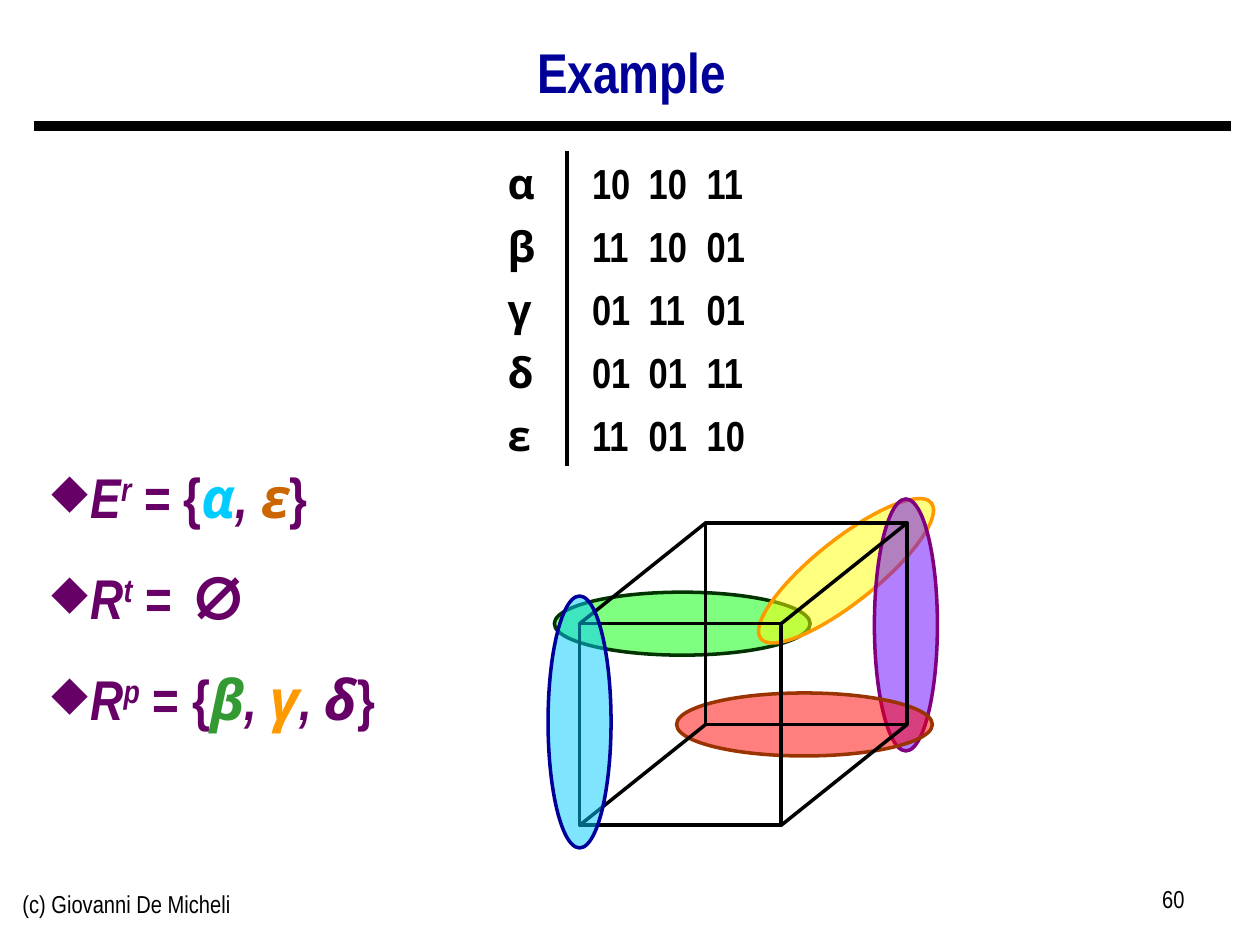
from dataclasses import dataclass

import pptx
import pptx.dml.color
import pptx.enum.shapes
import pptx.enum.text
import pptx.oxml.ns
import pptx.util
from lxml import etree

Inches = pptx.util.Inches
Pt = pptx.util.Pt
RGBColor = pptx.dml.color.RGBColor
MSO_SHAPE = pptx.enum.shapes.MSO_SHAPE
PP_ALIGN = pptx.enum.text.PP_ALIGN
qn = pptx.oxml.ns.qn

BLACK = RGBColor(0x00, 0x00, 0x00)
NAVY = RGBColor(0x00, 0x00, 0x99)
PLUM = RGBColor(0x66, 0x00, 0x66)
SKY = RGBColor(0x00, 0xCC, 0xFF)
OCHRE = RGBColor(0xCC, 0x66, 0x00)
LEAF = RGBColor(0x33, 0x99, 0x33)
ORANGE = RGBColor(0xFF, 0x99, 0x00)
LIME = RGBColor(0x00, 0xFF, 0x00)
FOREST = RGBColor(0x00, 0x33, 0x00)
YELLOW = RGBColor(0xFF, 0xFF, 0x00)
VIOLET = RGBColor(0x66, 0x00, 0xFF)
PURPLE = RGBColor(0x80, 0x00, 0x80)
RED = RGBColor(0xFF, 0x00, 0x00)
BROWN = RGBColor(0x99, 0x33, 0x00)

LATIN, GREEK, SYMBOL = "Arial Narrow", "Open Sans", "Noto Sans Mono"
FOOTER = {"name": LATIN, "size": Pt(14)}
CODE = {"name": LATIN, "size": Pt(24), "bold": True}
SET = {"name": LATIN, "size": Pt(32), "bold": True}


@dataclass
class Piece:
    text: str
    color: RGBColor = PLUM
    font: str = LATIN
    italic: bool = True
    raised: bool = False


@dataclass
class Implicant:
    left: float
    top: float
    width: float
    fill: RGBColor
    outline: RGBColor
    rotation: float = 0


def add_run(paragraph, text: str, formats: dict, color: RGBColor = BLACK):
    run = paragraph.add_run()
    run.text = text
    for name, value in formats.items():
        setattr(run.font, name, value)
    run.font.color.rgb = color
    return run


def add_text_frame(slide, left: float, top: float, width: float, height: float):
    frame = slide.shapes.add_textbox(
        Inches(left), Inches(top), Inches(width), Inches(height)).text_frame
    frame.word_wrap = True
    return frame


def add_line(slide, start: tuple, end: tuple, weight: float = 2) -> None:
    line = slide.shapes.add_connector(
        pptx.enum.shapes.MSO_CONNECTOR.STRAIGHT,
        *(Inches(value) for value in start + end))
    line.line.color.rgb = BLACK
    line.line.width = Pt(weight)
    etree.SubElement(line._element.spPr, qn("a:effectLst"))


def add_outline(slide, kind, left: float, top: float, width: float,
                height: float, color: RGBColor):
    shape = slide.shapes.add_shape(
        kind, Inches(left), Inches(top), Inches(width), Inches(height))
    shape.shadow.inherit = False
    shape.fill.background()
    shape.line.color.rgb = color
    shape.line.width = Pt(2)
    return shape


def add_implicant(slide, item: Implicant) -> None:
    ellipse = add_outline(slide, MSO_SHAPE.OVAL, item.left, item.top,
                          item.width, 0.5, item.outline)
    ellipse.rotation = item.rotation
    ellipse.fill.solid()
    ellipse.fill.fore_color.rgb = item.fill
    color = ellipse._element.spPr.find(qn("a:solidFill")).find(qn("a:srgbClr"))
    etree.SubElement(color, qn("a:alpha"), val="50000")


def add_tabs(paragraph, stops: tuple) -> None:
    tabs = etree.SubElement(paragraph._p.get_or_add_pPr(), qn("a:tabLst"))
    for stop in stops:
        etree.SubElement(tabs, qn("a:tab"), pos=str(Inches(stop)), algn="l")


def add_diamond_bullet(paragraph) -> None:
    properties = paragraph._p.get_or_add_pPr()
    properties.set("marL", str(Inches(0.31)))
    properties.set("indent", str(Inches(-0.31)))
    bullet_color = etree.SubElement(properties, qn("a:buClr"))
    etree.SubElement(bullet_color, qn("a:srgbClr"), val=str(PLUM))
    etree.SubElement(properties, qn("a:buSzPct"), val="85000")
    etree.SubElement(properties, qn("a:buChar"), char="◆")


def add_cube(slide) -> None:
    side, dx, dy = 1.6, 1, -0.8
    left, top = 4.6, 4.95
    for x, y in ((left, top), (left + dx, top + dy)):
        add_outline(slide, MSO_SHAPE.RECTANGLE, x, y, side, side, BLACK)
    for x in (left, left + side):
        for y in (top, top + side):
            add_line(slide, (x, y), (x + dx, y + dy))


CODES = [
    ("α", "10", "10", "11"),
    ("β", "11", "10", "01"),
    ("γ", "01", "11", "01"),
    ("δ", "01", "01", "11"),
    ("ε", "11", "01", "10"),
]

SETS = [
    [Piece("E"), Piece("r", raised=True), Piece(" = {", italic=False),
     Piece("α", SKY, GREEK), Piece(", "), Piece("ε", OCHRE, GREEK),
     Piece("}", italic=False)],
    [Piece("R"), Piece("t", raised=True), Piece(" = ", italic=False),
     Piece("∅", font=SYMBOL, italic=False)],
    [Piece("R"), Piece("p", raised=True), Piece(" = {", italic=False),
     Piece("β", LEAF, GREEK), Piece(", "), Piece("γ", ORANGE, GREEK),
     Piece(", "), Piece("δ", font=GREEK), Piece("}", italic=False)],
]

BEHIND_CUBE = [
    Implicant(4.4, 4.7, 2.03, LIME, FOREST),
    Implicant(5.85, 4.28, 1.73, YELLOW, ORANGE, 321.5),
    Implicant(6.19, 4.71, 2, VIOLET, PURPLE, 270),
    Implicant(5.37, 5.5, 2.03, RED, BROWN),
]
BEFORE_CUBE = Implicant(3.6, 5.48, 2, SKY, NAVY, 270)


def main() -> None:
    deck = pptx.Presentation()
    deck.slide_width, deck.slide_height = Inches(10), Inches(7.5)
    slide = deck.slides.add_slide(deck.slide_layouts[5])

    # Rule, footer and page number
    add_line(slide, (0.27, 1), (9.77, 1), 6)
    credit = add_text_frame(slide, 0.08, 7.01, 3.17, 0.4).paragraphs[0]
    add_run(credit, "(c) Giovanni De Micheli", FOOTER)
    page = add_text_frame(slide, 7.17, 6.97, 2.33, 0.4).paragraphs[0]
    page.alignment = PP_ALIGN.RIGHT
    add_run(page, "60", FOOTER)

    # Title
    title = slide.shapes.title
    title.left, title.top = Inches(0.26), Inches(0.22)
    title.width, title.height = Inches(9.51), Inches(0.75)
    title.text_frame.vertical_anchor = pptx.enum.text.MSO_ANCHOR.MIDDLE
    heading = title.text_frame.paragraphs[0]
    heading.alignment = PP_ALIGN.CENTER
    heading.line_spacing = 0.9
    add_run(heading, "Example", SET, NAVY)

    # Sets of implicants
    sets = add_text_frame(slide, 0.31, 3.6, 4, 2.4)
    for index, pieces in enumerate(SETS):
        paragraph = sets.add_paragraph() if index else sets.paragraphs[0]
        add_diamond_bullet(paragraph)
        paragraph.line_spacing = Pt(40)
        paragraph.space_before = Pt(17.7 if index else 0)
        for piece in pieces:
            formats = SET | {"name": piece.font, "italic": piece.italic}
            run = add_run(paragraph, piece.text, formats, piece.color)
            if piece.raised:
                run._r.get_or_add_rPr().set("baseline", "30000")

    # Codes of the implicants
    for row, (letter, *fields) in enumerate(CODES):
        code = add_text_frame(slide, 3.93, 1.2 + 0.5 * row, 2.12, 0.5).paragraphs[0]
        add_tabs(code, (0.67, 1.12, 1.58))
        add_run(code, letter, CODE | {"name": GREEK})
        add_run(code, "\t" + "\t".join(fields), CODE)
    add_line(slide, (4.5, 1.2), (4.5, 3.7))

    # Cube with its implicants
    for implicant in BEHIND_CUBE:
        add_implicant(slide, implicant)
    add_cube(slide)
    add_implicant(slide, BEFORE_CUBE)

    deck.save("out.pptx")


if __name__ == "__main__":
    main()
